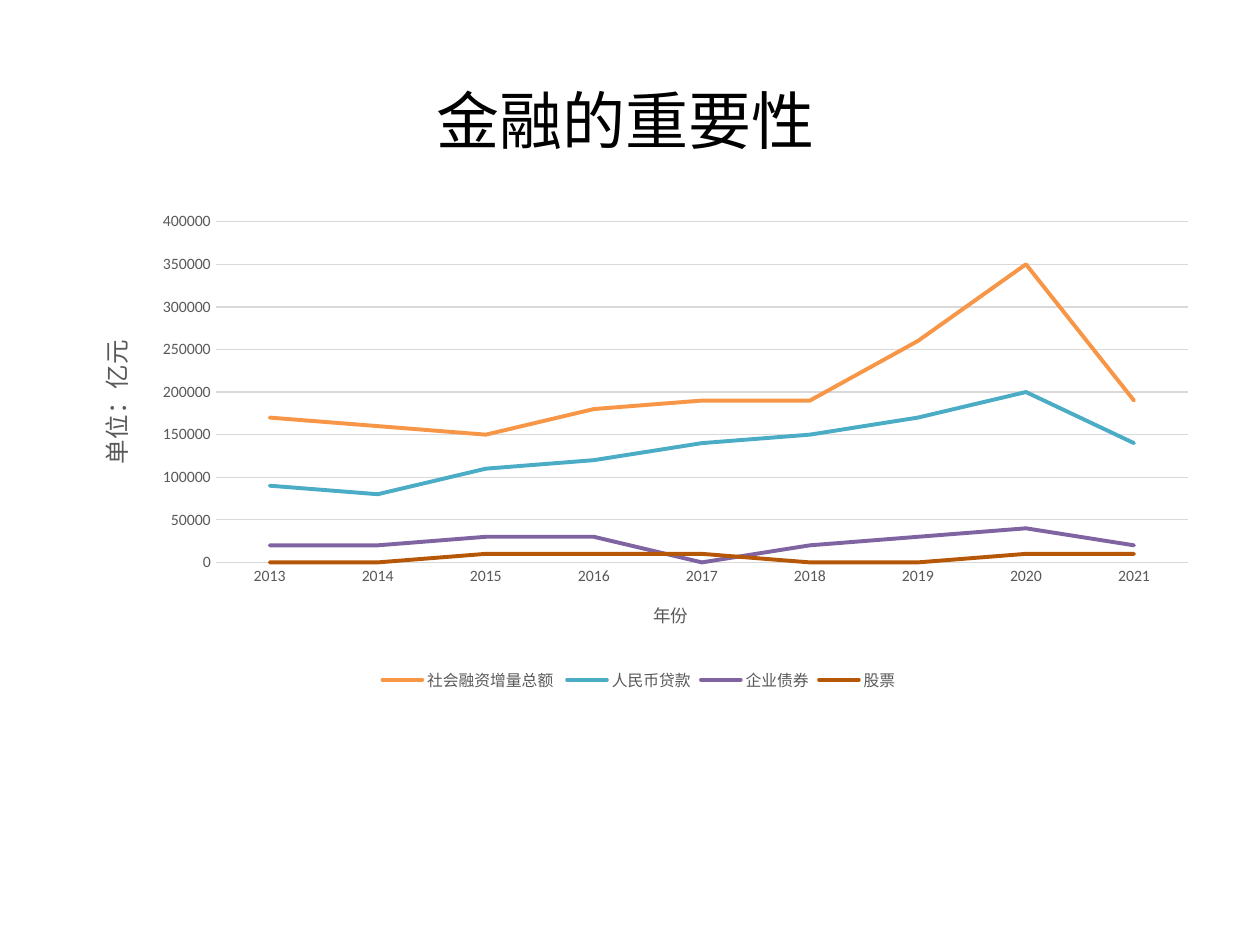
from lxml import etree
from pptx import Presentation
from pptx import util as u
from pptx.chart import data as chart_data
from pptx.dml.color import RGBColor
from pptx.enum import chart as ch, text
from pptx.oxml import ns

PX = 914400 // 126  # EMU in one px
BLACK = RGBColor(0x00, 0x00, 0x00)
GREY = RGBColor(0x59, 0x59, 0x59)
GRID = RGBColor(0xD9, 0xD9, 0xD9)
ORANGE = RGBColor(0xF7, 0x96, 0x46)
TEAL = RGBColor(0x4B, 0xAC, 0xC6)
PURPLE = RGBColor(0x80, 0x64, 0xA2)
BROWN = RGBColor(0xB6, 0x57, 0x08)

YEARS = [str(year) for year in range(2013, 2022)]
# Name, colour, values in ten thousands
FINANCING = [
    ("社会融资增量总额 ", ORANGE, (17, 16, 15, 18, 19, 19, 26, 35, 19)),
    ("人民币贷款", TEAL, (9, 8, 11, 12, 14, 15, 17, 20, 14)),
    ("企业债券", PURPLE, (2, 2, 3, 3, 0, 2, 3, 4, 2)),
    ("股票", BROWN, (0, 0, 1, 1, 1, 0, 0, 1, 1)),
]


def format_font(font, size, color=GREY, name="Calibri"):
    font.size, font.name, font.bold = u.Pt(size), name, False
    font.color.rgb = color


def write_text(frame, words, align=text.PP_ALIGN.CENTER, **font_format):
    frame.text = words
    paragraph = frame.paragraphs[0]
    paragraph.alignment = align
    format_font(paragraph.runs[0].font, **font_format)


def place_part(element, index, **fractions):
    """Fix a chart part at fractions of the chart's box."""
    layout = element.find(ns.qn("c:layout"))
    if layout is None:
        layout = etree.Element(ns.qn("c:layout"))
        element.insert(index, layout)
    manual = etree.SubElement(layout, ns.qn("c:manualLayout"))
    settings = {"xMode": "edge", "yMode": "edge", **fractions}
    if "w" in fractions:
        settings = {"layoutTarget": "inner", **settings}
    for tag, value in settings.items():
        etree.SubElement(manual, ns.qn(f"c:{tag}")).set("val", str(value))


def add_title(slide, left, top, width, height):
    title = slide.shapes.title
    title.left, title.top, title.width, title.height = (
        PX * length for length in (left, top, width, height))
    write_text(title.text_frame, "金融的重要性", size=36, color=BLACK, name="Arial")
    title.text_frame.vertical_anchor = text.MSO_ANCHOR.MIDDLE


def format_axis(axis, words, title_size, x, y):
    axis.major_tick_mark = axis.minor_tick_mark = ch.XL_TICK_MARK.NONE
    format_font(axis.tick_labels.font, 9)
    write_text(axis.axis_title.text_frame, words, size=title_size)
    place_part(axis.axis_title._element, 1, x=x, y=y)


def format_line(line, color, width):
    line.color.rgb, line.width = color, u.Pt(width)


def add_financing_chart(slide, left, top, width, height):
    data = chart_data.CategoryChartData(number_format="General")
    data.categories = YEARS
    for name, _, values in FINANCING:
        data.add_series(name, [value * 10000 for value in values])
    chart = slide.shapes.add_chart(
        ch.XL_CHART_TYPE.LINE,
        *(PX * length for length in (left, top, width, height)), data).chart
    chart.has_title = False
    format_font(chart.font, 10, BLACK)
    chart.plots[0].vary_by_categories = False
    place_part(chart.element.find(".//" + ns.qn("c:plotArea")), 0,
               x=0.13, y=0.04, w=0.85, h=0.69)

    # Series lines with round ends
    for series, (_, color, _) in zip(chart.plots[0].series, FINANCING):
        series.smooth = False
        series.marker.style = ch.XL_MARKER_STYLE.NONE
        format_line(series.format.line, color, 2.25)
    for line in chart.element.xpath(".//c:ser/c:spPr/a:ln"):
        line.set("cap", "rnd")

    # Axes
    format_axis(chart.category_axis, "年份", 10, x=0.51, y=0.8)
    format_line(chart.category_axis.format.line, GRID, 0.75)
    value_axis = chart.value_axis
    format_axis(value_axis, "单位：亿元", 14, x=0.02, y=0.27)
    value_axis.minimum_scale, value_axis.maximum_scale = 0, 400000
    value_axis.major_unit = 50000
    value_axis.format.line.fill.background()
    format_line(value_axis.major_gridlines.format.line, GRID, 0.75)

    # Legend
    chart.has_legend = True
    chart.legend.position = ch.XL_LEGEND_POSITION.BOTTOM
    chart.legend.include_in_layout = False
    format_font(chart.legend.font, 9)


def main():
    presentation = Presentation()
    presentation.slide_width, presentation.slide_height = u.Inches(10), u.Inches(7.5)
    slide = presentation.slides.add_slide(presentation.slide_layouts[5])
    add_title(slide, 313, 75, 625, 89)
    add_financing_chart(slide, 67, 202, 1144, 494)
    presentation.save("out.pptx")


if __name__ == "__main__":
    main()
